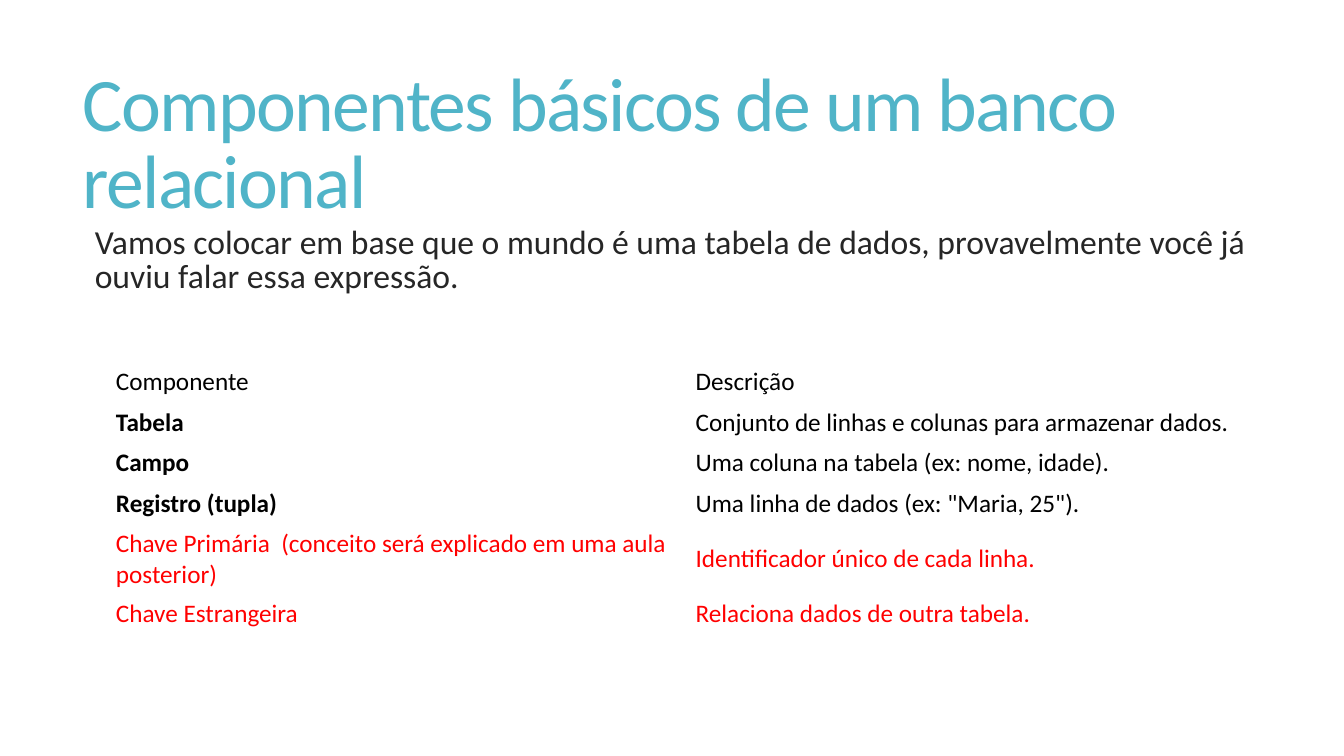
from pptx import Presentation
from pptx.dml.color import RGBColor
from pptx.enum.text import MSO_ANCHOR, MSO_AUTO_SIZE, PP_ALIGN
from pptx.util import Inches, Pt

COMPONENTS = [
    ("Componente", "Descrição"),
    ("Tabela", "Conjunto de linhas e colunas para armazenar dados."),
    ("Campo", "Uma coluna na tabela (ex: nome, idade)."),
    ("Registro (tupla)", 'Uma linha de dados (ex: "Maria, 25").'),
    ("Chave Primária  (conceito será explicado em uma aula posterior)",
     "Identificador único de cada linha."),
    ("Chave Estrangeira", "Relaciona dados de outra tabela."),
]
BOLD_ROWS = range(1, 4)
FIRST_KEY_ROW = 4
ROW_HEIGHT = 0.4


def color(hex_code):
    return RGBColor.from_string(hex_code)


def write(frame, text, size, hex_code, bold=False):
    frame.text = text
    paragraph = frame.paragraphs[0]
    paragraph.alignment = PP_ALIGN.LEFT
    paragraph.font.name = "Calibri"
    paragraph.font.size = Pt(size)
    paragraph.font.bold = bold
    paragraph.font.color.rgb = color(hex_code)
    return paragraph


def place_heading(slide, left, top, width, height):
    heading = slide.shapes.title
    heading.left, heading.top = Inches(left), Inches(top)
    heading.width, heading.height = Inches(width), Inches(height)
    frame = heading.text_frame
    frame.auto_size = MSO_AUTO_SIZE.NONE
    frame.word_wrap = True
    frame.vertical_anchor = MSO_ANCHOR.MIDDLE
    paragraph = write(frame, "Componentes básicos de um banco relacional", 54, "50B4C8")
    paragraph.line_spacing = 0.85
    paragraph.runs[0].font._element.set("spc", "-120")


def place_introduction(slide, left, top, width, height):
    introduction = slide.shapes.add_textbox(
        Inches(left), Inches(top), Inches(width), Inches(height))
    frame = introduction.text_frame
    frame.word_wrap = True
    frame.margin_left = Inches(0.2)
    paragraph = write(
        frame,
        "Vamos colocar em base que o mundo é uma tabela de dados, "
        "provavelmente você já ouviu falar essa expressão.",
        24, "262626")
    paragraph.line_spacing = 0.85
    paragraph.space_before = Pt(13)


def place_components(slide, left, top, width):
    components = slide.shapes.add_table(
        len(COMPONENTS), 2, Inches(left), Inches(top),
        Inches(width), Inches(ROW_HEIGHT * len(COMPONENTS))).table
    components.first_row = False
    components.horz_banding = False
    for row, entry in enumerate(COMPONENTS):
        hex_code = "FF0000" if row >= FIRST_KEY_ROW else "000000"
        for column, text in enumerate(entry):
            cell = components.cell(row, column)
            cell.fill.background()
            cell.vertical_anchor = MSO_ANCHOR.MIDDLE
            write(cell.text_frame, text, 18, hex_code,
                  bold=column == 0 and row in BOLD_ROWS)


def main():
    presentation = Presentation()
    presentation.slide_width = Inches(13.33)
    presentation.slide_height = Inches(7.5)
    slide = presentation.slides.add_slide(presentation.slide_layouts[5])
    place_heading(slide, 0.72, 0.55, 11.78, 1.81)
    place_introduction(slide, 0.74, 2.2, 11.76, 4.12)
    place_components(slide, 1.05, 3.59, 11.5)
    presentation.save("out.pptx")


if __name__ == "__main__":
    main()
